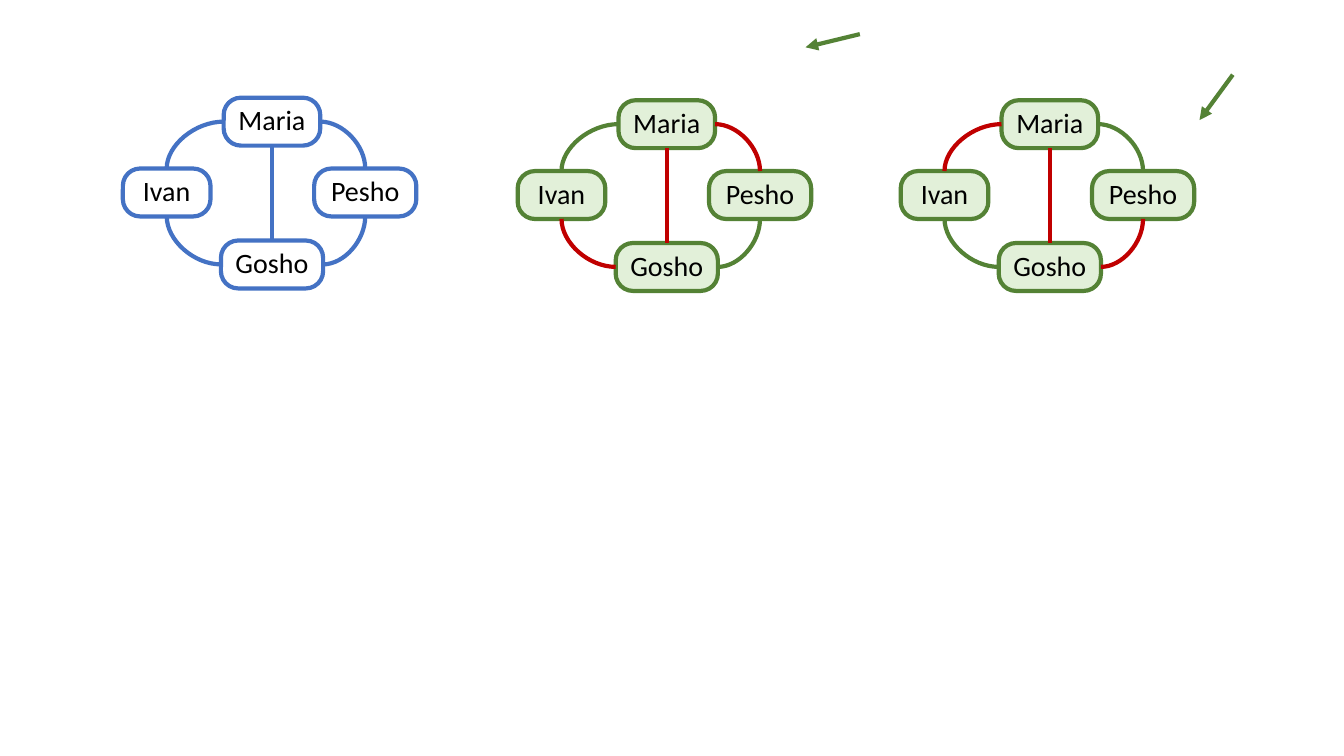
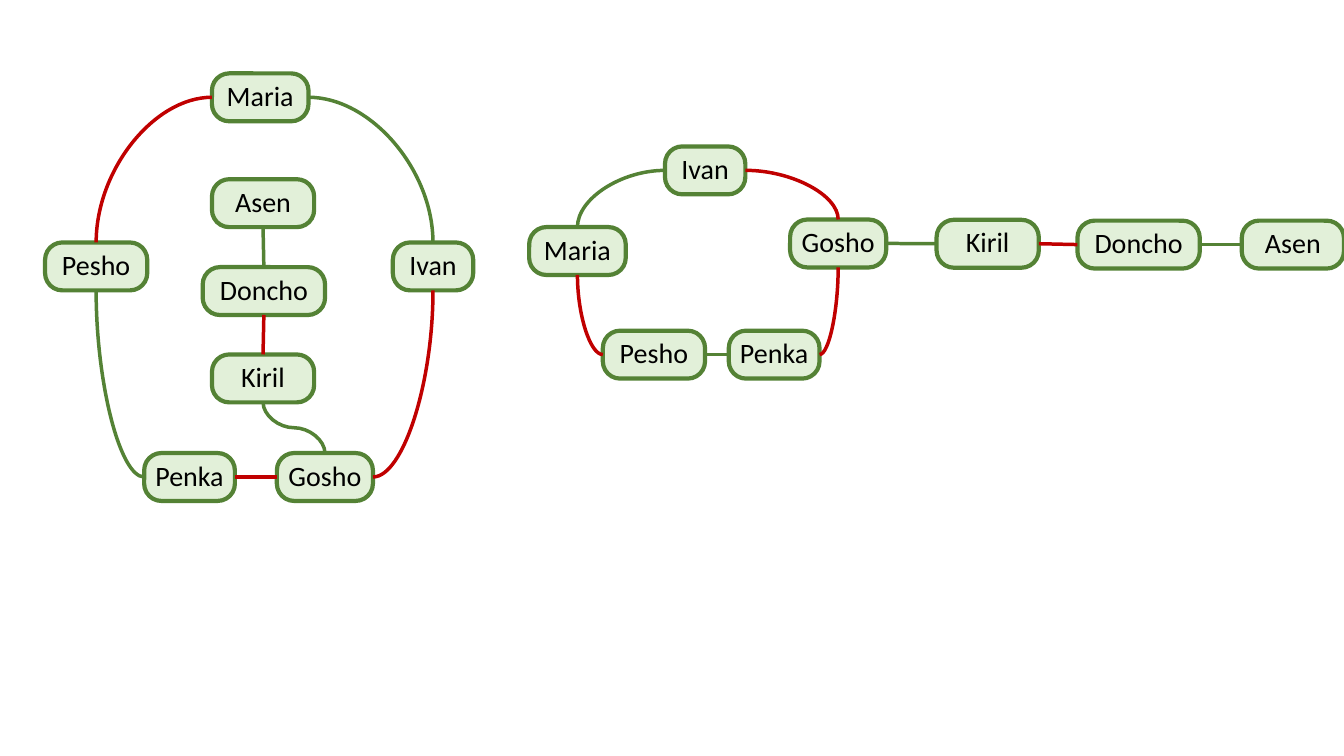
import pptx
import pptx.util
import pptx.dml.color
import pptx.enum.shapes
import pptx.enum.text
import pptx.oxml
import pptx.oxml.ns
import lxml.etree

Pt = pptx.util.Pt
qn = pptx.oxml.ns.qn
INK = {"blue": "4472C4", "green": "548235", "red": "C00000",
       "pale": "E2F0D9", "white": "FFFFFF", "black": "000000"}
SITE = {"top": 0, "left": 1, "bottom": 2, "right": 3}
FLAT = ("left", "right")


def paint(name):
    return pptx.dml.color.RGBColor.from_string(INK[name])


class Deck:
    font, size, tall, edge = "Calibri", 20, 34.2, 3

    def __init__(self):
        self.file = pptx.Presentation()
        self.file.slide_width = Pt(960)
        self.file.slide_height = Pt(540)

    def page(self, wide):
        self.slide = self.file.slides.add_slide(self.file.slide_layouts[6])
        self.wide = wide

    def node(self, name, left, top, width, fill="pale", ink="green"):
        kind = pptx.enum.shapes.MSO_SHAPE.ROUNDED_RECTANGLE
        box = self.slide.shapes.add_shape(
            kind, Pt(left), Pt(top), Pt(width), Pt(self.tall))
        box.adjustments[0] = 0.36
        box.shadow.inherit = False
        box.fill.solid()
        box.fill.fore_color.rgb = paint(fill)
        box.line.color.rgb = paint(ink)
        box.line.width = Pt(self.edge)
        frame = box.text_frame
        frame.margin_left = frame.margin_right = frame.margin_top = 0
        frame.margin_bottom = Pt(2.88)
        frame.vertical_anchor = pptx.enum.text.MSO_ANCHOR.MIDDLE
        frame.word_wrap = True
        par = frame.paragraphs[0]
        par.text = name
        par.alignment = pptx.enum.text.PP_ALIGN.CENTER
        par.font.name = self.font
        par.font.size = Pt(self.size)
        par.font.color.rgb = paint("black")
        return box

    def line(self, ink, start=(0, 0), end=(0, 0), curve=False):
        kinds = pptx.enum.shapes.MSO_CONNECTOR
        kind = kinds.CURVE if curve else kinds.STRAIGHT
        wire = self.slide.shapes.add_connector(
            kind, *[Pt(n) for n in (*start, *end)])
        wire.line.color.rgb = paint(ink)
        wire.line.width = Pt(self.wide)
        lxml.etree.SubElement(wire.element.spPr, qn("a:effectLst"))
        return wire

    def arrow(self, ink, start, end):
        wire = self.line(ink, start, end)
        rim = wire.element.spPr.find(qn("a:ln"))
        lxml.etree.SubElement(rim, qn("a:tailEnd")).set("type", "triangle")

    def link(self, ink, first, side, last, face, curve=False):
        wire = self.line(ink, curve=curve)
        wire.begin_connect(first, SITE[side])
        wire.end_connect(last, SITE[face])
        return wire

    def arc(self, ink, first, side, last, face):
        wire = self.link(ink, first, side, last, face, True)
        geom = wire.element.spPr.find(qn("a:prstGeom"))
        geom.set("prst", "curvedConnector2")

    def bend(self, ink, first, side, last, face):
        wire = self.link(ink, first, side, last, face, True)
        wide, tall = wire.width, wire.height
        wire.left += (wide - tall) // 2
        wire.top += (tall - wide) // 2
        wire.width, wire.height = tall, wide
        form = wire.element.spPr.find(qn("a:xfrm"))
        form.set("rot", "5400000")
        form.set("flipV", "1")

    def graph(self, spots, edges, fill="pale", ink="green"):
        nodes = {name: self.node(name, *spot, fill, ink)
                 for name, spot in spots.items()}
        for tint, first, side, last, face in edges:
            if (side in FLAT) != (face in FLAT):
                draw = self.arc
            elif abs(nodes[first].left - nodes[last].left) > Pt(20) and side not in FLAT:
                draw = self.bend
            else:
                draw = self.link
            draw(tint, nodes[first], side, nodes[last], face)


deck = Deck()
deck.page(3)
RING = {"Maria": (159.8, 69.8, 69), "Ivan": (87.8, 120.4, 62.6),
        "Pesho": (224.4, 120.4, 73), "Gosho": (157.8, 171.8, 73)}
TIES = [("Maria", "right", "Pesho", "top"), ("Maria", "left", "Ivan", "top"),
        ("Gosho", "left", "Ivan", "bottom"), ("Gosho", "right", "Pesho", "bottom"),
        ("Maria", "bottom", "Gosho", "top")]
for right, down, fill, ink, tints in [
        (0, 0, "white", "blue", ["blue"] * 5),
        (282, 1.8, "pale", "green", ["red", "green", "red", "green", "red"]),
        (555.6, 1.8, "pale", "green", ["green", "red", "green", "red", "red"])]:
    spots = {name: (left + right, top + down, width)
             for name, (left, top, width) in RING.items()}
    deck.graph(spots, [(tint, *tie) for tint, tie in zip(tints, TIES)], fill, ink)
deck.arrow("green", (614.2, 24.4), (575.4, 33.8))
deck.arrow("green", (880.6, 53.4), (856.8, 85.8))

deck.page(2.5)
WIDTH = {"Maria": 69, "Ivan": 57.4, "Pesho": 73, "Doncho": 87.4,
         "Gosho": 68.6, "Penka": 64.8, "Kiril": 73, "Asen": 73}
LOOP = {"Maria": (151.4, 52.4), "Ivan": (280.6, 173.2), "Pesho": (32.2, 173.2),
        "Doncho": (144.8, 190.8), "Gosho": (197.8, 323.6), "Penka": (103, 323.6),
        "Kiril": (151.4, 253.2), "Asen": (151.4, 128)}
CHAIN = {"Maria": (378, 162.2), "Ivan": (475, 104.6), "Pesho": (430.6, 236.2),
         "Doncho": (769.6, 157.6), "Gosho": (564.4, 156.8), "Penka": (520.6, 236.2),
         "Kiril": (669, 157), "Asen": (887, 157.6)}
for places, edges in [
        (LOOP, [("red", "Maria", "left", "Pesho", "top"),
                ("green", "Maria", "right", "Ivan", "top"),
                ("green", "Penka", "left", "Pesho", "bottom"),
                ("red", "Penka", "right", "Gosho", "left"),
                ("red", "Gosho", "right", "Ivan", "bottom"),
                ("green", "Kiril", "bottom", "Gosho", "top"),
                ("red", "Kiril", "top", "Doncho", "bottom"),
                ("green", "Doncho", "top", "Asen", "bottom")]),
        (CHAIN, [("red", "Pesho", "left", "Maria", "bottom"),
                 ("green", "Ivan", "left", "Maria", "top"),
                 ("green", "Pesho", "right", "Penka", "left"),
                 ("red", "Ivan", "right", "Gosho", "top"),
                 ("green", "Gosho", "right", "Kiril", "left"),
                 ("red", "Kiril", "right", "Doncho", "left"),
                 ("green", "Doncho", "right", "Asen", "left"),
                 ("red", "Penka", "right", "Gosho", "bottom")])]:
    deck.graph({name: (*spot, WIDTH[name]) for name, spot in places.items()}, edges)

deck.file.save("out.pptx")
